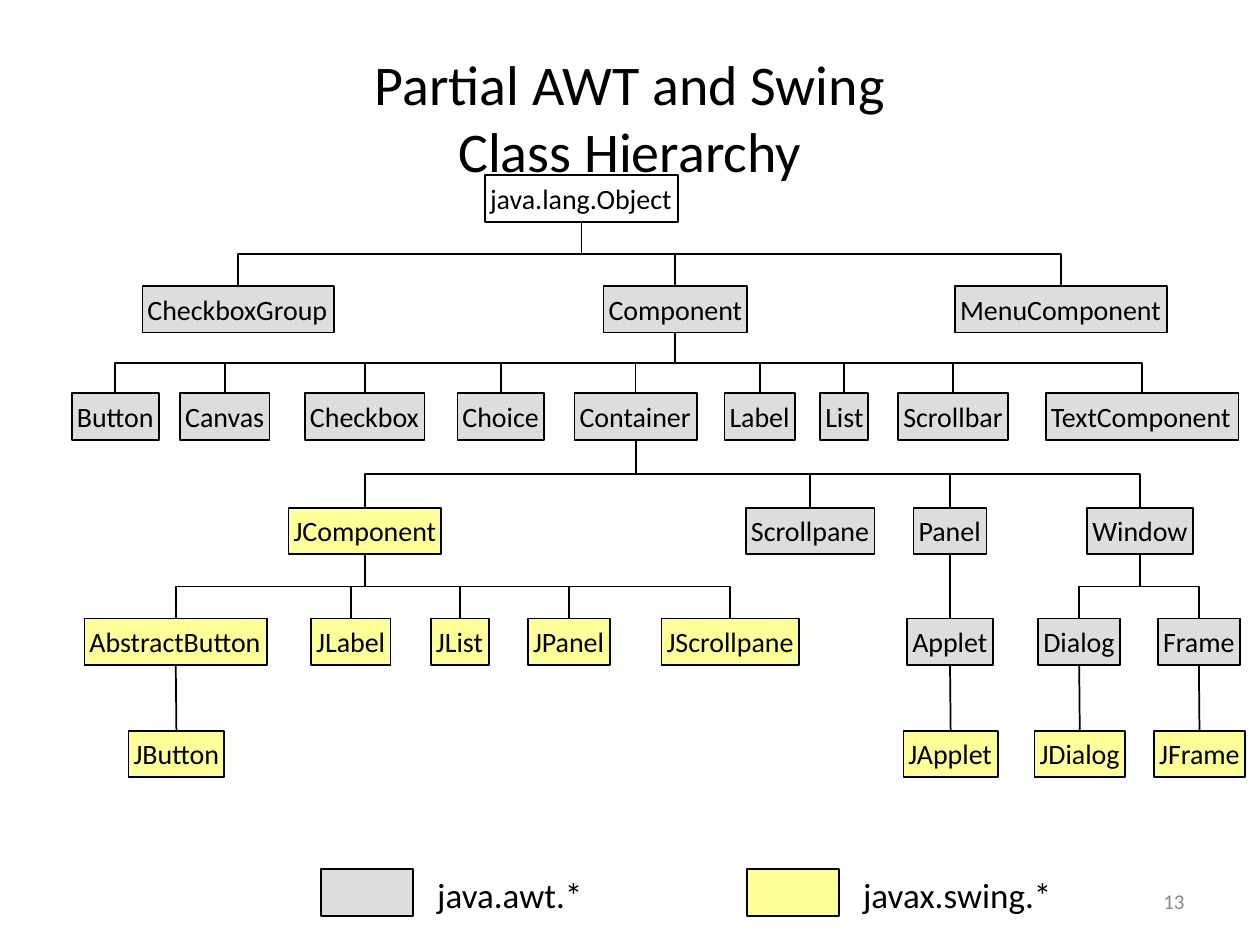
from pptx import Presentation
from pptx.dml.color import RGBColor
from pptx.enum.shapes import MSO_CONNECTOR, MSO_SHAPE
from pptx.enum.text import MSO_ANCHOR, MSO_AUTO_SIZE, PP_ALIGN
from pptx.oxml.ns import qn
from pptx.util import Inches, Pt
from lxml import etree

RECTANGLE = MSO_SHAPE.RECTANGLE
STRAIGHT, ELBOW = MSO_CONNECTOR.STRAIGHT, MSO_CONNECTOR.ELBOW
TOP, MIDDLE = MSO_ANCHOR.TOP, MSO_ANCHOR.MIDDLE
LEFT, CENTER, RIGHT = PP_ALIGN.LEFT, PP_ALIGN.CENTER, PP_ALIGN.RIGHT
FIT_SHAPE = MSO_AUTO_SIZE.SHAPE_TO_FIT_TEXT

FONT = "Calibri"
BLACK, NUMBER_GRAY = "000000", "898989"
AWT, SWING = "DDDDDD", "FFFF99"
BOX_HEIGHT = 0.37
TOP_SIDE, BOTTOM_SIDE = 0, 2
QUARTER_TURN, THREE_QUARTER_TURN = "5400000", "16200000"

# Each level: top, then (class name, left, width, fill, parent class)
LEVELS = [
    (1.39, [("java.lang.Object", 3.85, 1.53, None, None)]),
    (2.27, [
        ("CheckboxGroup", 1.13, 1.52, AWT, "java.lang.Object"),
        ("Component", 4.79, 1.14, AWT, "java.lang.Object"),
        ("MenuComponent", 7.58, 1.68, AWT, "java.lang.Object"),
    ]),
    (3.12, [
        ("Button", 0.57, 0.69, AWT, "Component"),
        ("Canvas", 1.43, 0.71, AWT, "Component"),
        ("Checkbox", 2.42, 0.95, AWT, "Component"),
        ("Choice", 3.63, 0.69, AWT, "Component"),
        ("Container", 4.56, 0.97, AWT, "Component"),
        ("Label", 5.75, 0.56, AWT, "Component"),
        ("List", 6.51, 0.38, AWT, "Component"),
        ("Scrollbar", 7.13, 0.87, AWT, "Component"),
        ("TextComponent", 8.3, 1.53, AWT, "Component"),
    ]),
    (4.03, [
        ("JComponent", 2.29, 1.21, SWING, "Container"),
        ("Scrollpane", 5.92, 1.02, AWT, "Container"),
        ("Panel", 7.25, 0.58, AWT, "Container"),
        ("Window", 8.63, 0.84, AWT, "Container"),
    ]),
    (4.91, [
        ("AbstractButton", 0.67, 1.45, SWING, "JComponent"),
        ("JLabel", 2.47, 0.63, SWING, "JComponent"),
        ("JList", 3.42, 0.46, SWING, "JComponent"),
        ("JPanel", 4.19, 0.65, SWING, "JComponent"),
        ("JScrollpane", 5.25, 1.09, SWING, "JComponent"),
        ("Applet", 7.2, 0.68, AWT, "Panel"),
        ("Dialog", 8.24, 0.65, AWT, "Window"),
        ("Frame", 9.19, 0.65, AWT, "Window"),
    ]),
    (5.8, [
        ("JButton", 1.02, 0.76, SWING, "AbstractButton"),
        ("JApplet", 7.17, 0.75, SWING, "Applet"),
        ("JDialog", 8.21, 0.72, SWING, "Dialog"),
        ("JFrame", 9.16, 0.72, SWING, "Frame"),
    ]),
]

# Legend: label, swatch left, label left, label width, fill
LEGEND = [
    ("java.awt.*", 2.55, 3.43, 1.73, AWT),
    ("javax.swing.*", 5.93, 6.81, 2.21, SWING),
]


def color(hex_value):
    return RGBColor.from_string(hex_value)


def write_text(shape, lines, size, text_color=BLACK, align=LEFT,
               anchor=TOP, left_inset=0.04, right_inset=0.04, wrap=True):
    frame = shape.text_frame
    frame.word_wrap = wrap
    frame.vertical_anchor = anchor
    frame.margin_left = Inches(left_inset)
    frame.margin_right = Inches(right_inset)
    frame.margin_top = frame.margin_bottom = Inches(0.05)
    paragraph = frame.paragraphs[0]
    paragraph.alignment = align
    for index, line in enumerate(lines):
        if index:
            paragraph.add_line_break()
        run = paragraph.add_run()
        run.text = line
        run.font.name = FONT
        run.font.size = Pt(size)
        run.font.color.rgb = color(text_color)


def add_label(slide, lines, left, top, width, height, size, **style):
    box = slide.shapes.add_textbox(
        Inches(left), Inches(top), Inches(width), Inches(height))
    write_text(box, lines, size, **style)


def add_box(slide, left, top, width, fill):
    box = slide.shapes.add_shape(
        RECTANGLE, Inches(left), Inches(top), Inches(width), Inches(BOX_HEIGHT))
    box.shadow.inherit = False
    if fill:
        box.fill.solid()
        box.fill.fore_color.rgb = color(fill)
    else:
        box.fill.background()
    box.line.color.rgb = color(BLACK)
    box.line.width = Pt(1)
    return box


def add_class(slide, name, left, top, width, fill):
    box = add_box(slide, left, top, width, fill)
    # No right inset, so that a tight name stays on one line
    write_text(box, [name], 16, right_inset=0, wrap=False)
    box.text_frame.auto_size = FIT_SHAPE
    return box


def style_connector(connector):
    connector.line.color.rgb = color(BLACK)
    connector.line.width = Pt(1)
    etree.SubElement(connector.element.spPr, qn("a:effectLst"))


def add_straight_link(slide, child, parent):
    connector = slide.shapes.add_connector(STRAIGHT, 0, 0, 0, 0)
    connector.begin_connect(child, TOP_SIDE)
    connector.end_connect(parent, BOTTOM_SIDE)
    style_connector(connector)


def add_elbow_link(slide, child, parent):
    """Bend halfway between levels: a horizontal elbow, turned upright."""
    child_x = child.left + child.width // 2
    parent_x = parent.left + parent.width // 2
    parent_bottom = parent.top + parent.height
    middle_x = (child_x + parent_x) // 2
    middle_y = (child.top + parent_bottom) // 2
    half_span = abs(child_x - parent_x) // 2
    half_drop = (child.top - parent_bottom) // 2
    turn = QUARTER_TURN
    if child_x > parent_x:
        half_drop, turn = -half_drop, THREE_QUARTER_TURN
    connector = slide.shapes.add_connector(
        ELBOW, middle_x + half_drop, middle_y + half_span,
        middle_x - half_drop, middle_y - half_span)
    connector.element.spPr.find(qn("a:xfrm")).set("rot", turn)
    style_connector(connector)


def add_hierarchy(slide):
    boxes, parents = {}, {}
    for top, classes in LEVELS:
        for name, left, width, fill, parent in classes:
            boxes[name] = add_class(slide, name, left, top, width, fill)
            if parent:
                parents[name] = parent
    # An only child hangs straight below its parent
    for name, parent in parents.items():
        only_child = list(parents.values()).count(parent) == 1
        add_link = add_straight_link if only_child else add_elbow_link
        add_link(slide, boxes[name], boxes[parent])


def main():
    presentation = Presentation()
    presentation.slide_width, presentation.slide_height = Inches(10), Inches(7.5)
    slide = presentation.slides.add_slide(presentation.slide_layouts[6])

    # Page number and title
    add_label(slide, ["13"], 7.17, 6.95, 2.33, 0.4, 12, text_color=NUMBER_GRAY,
              align=RIGHT, anchor=MIDDLE, right_inset=0.1)
    add_label(slide, ["Partial AWT and Swing", "Class Hierarchy"], 0.5, 0.3, 9, 1.25,
              32, align=CENTER, anchor=MIDDLE)

    # Class tree
    add_hierarchy(slide)

    # Legend
    for label, swatch_left, label_left, label_width, fill in LEGEND:
        add_box(slide, swatch_left, 6.9, 0.73, fill)
        add_label(slide, [label], label_left, 6.88, label_width, 0.44, 20)

    presentation.save("out.pptx")


if __name__ == "__main__":
    main()
